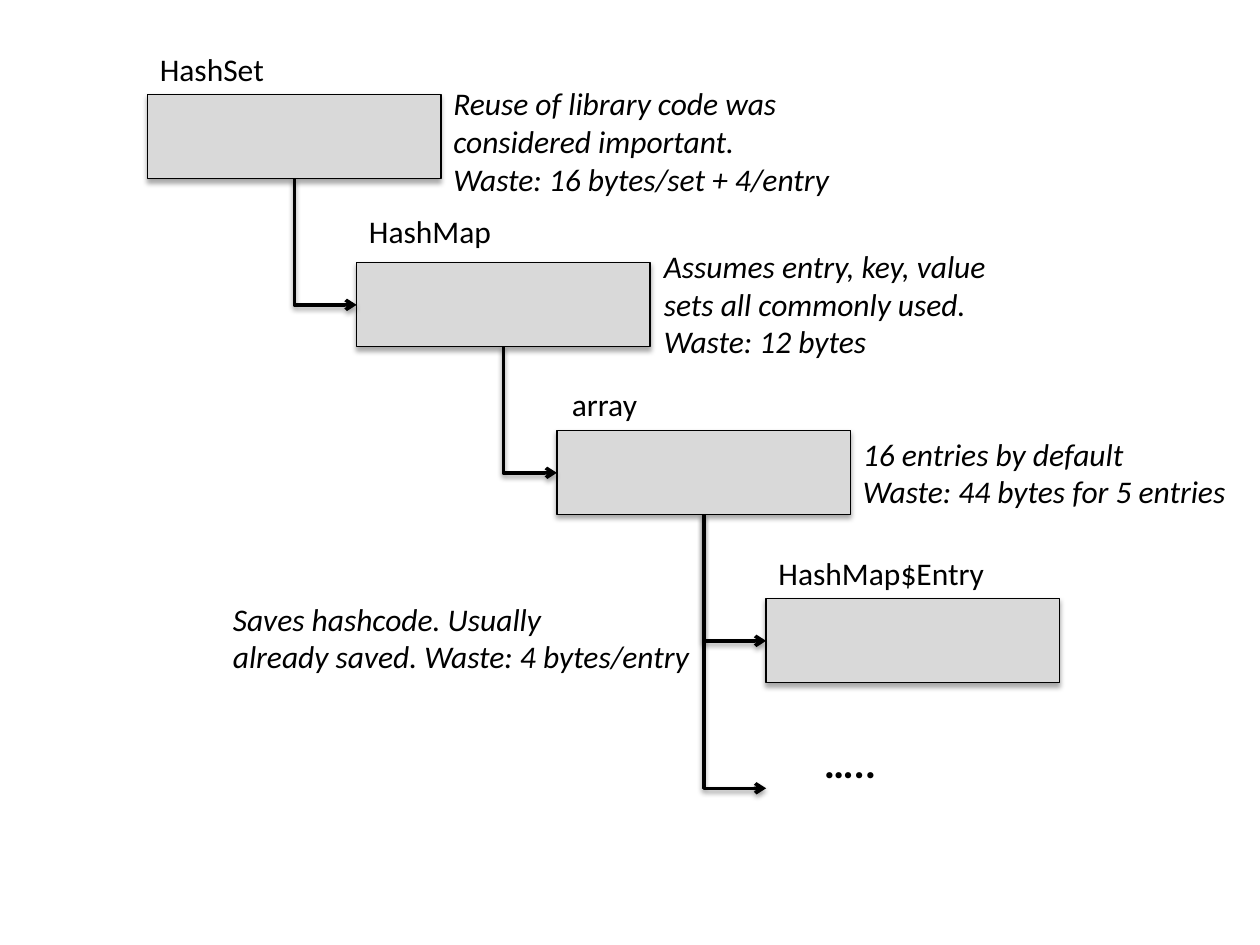
from dataclasses import dataclass
from lxml.etree import SubElement
from pptx import Presentation
from pptx.dml.color import RGBColor
from pptx.enum.shapes import MSO_CONNECTOR, MSO_SHAPE
from pptx.enum.text import MSO_AUTO_SIZE
from pptx.oxml.ns import qn
from pptx.util import Inches, Pt


@dataclass(frozen=True)
class Theme:
    font: str = "Calibri"
    ink: RGBColor = RGBColor(0, 0, 0)
    box: RGBColor = RGBColor(0xD9, 0xD9, 0xD9)
    body: int = 18
    dots: int = 24
    outline: float = 0.75
    arrow: float = 2


theme = Theme()
prs = Presentation()
prs.slide_width, prs.slide_height = Inches(10), Inches(7.5)
slide = prs.slides.add_slide(prs.slide_layouts[6])


def add_text(lines, left, top, width, height, size=theme.body,
             bold=False, italic=False, wrap=False):
    box = slide.shapes.add_textbox(
        Inches(left), Inches(top), Inches(width), Inches(height))
    frame = box.text_frame
    frame.word_wrap = wrap
    frame.auto_size = MSO_AUTO_SIZE.SHAPE_TO_FIT_TEXT
    frame.text = "\n".join(lines)
    for paragraph in frame.paragraphs:
        font = paragraph.runs[0].font
        font.name, font.size = theme.font, Pt(size)
        font.bold, font.italic = bold, italic
        font.color.rgb = theme.ink


def add_shadow(effects, distance, opacity):
    shadow = SubElement(effects, qn("a:outerShdw"), blurRad=str(Pt(3.1)),
                        dist=str(Pt(distance)), dir="5400000", rotWithShape="0")
    color = SubElement(shadow, qn("a:srgbClr"), val=str(theme.ink))
    SubElement(color, qn("a:alpha"), val=str(opacity * 1000))


# Each object: label, its left, top and width; box left; note lines, left and top
box_width, box_height = 2.33, 0.67
first_top, step = 0.75, 4 / 3
objects = [
    ("HashSet", 1.17, 0.35, 1.04, 1.17,
     ["Reuse of library code was", "considered important.",
      "Waste: 16 bytes/set + 4/entry"], 3.5, 0.62),
    ("HashMap", 2.83, 1.63, 1.18, 2.83,
     ["Assumes entry, key, value", "sets all commonly used.",
      "Waste: 12 bytes"], 5.17, 1.91),
    ("array", 4.44, 3.01, 0.72, 4.42,
     ["16 entries by default", "Waste: 44 bytes for 5 entries"], 6.75, 3.4),
    ("HashMap$Entry", 6.08, 4.35, 1.85, 6.08,
     ["Saves hashcode. Usually", "already saved. Waste: 4 bytes/entry"], 1.75, 4.71),
]

# Boxes with their labels and notes
for row, (label, label_left, label_top, label_width, left,
          note, note_left, note_top) in enumerate(objects):
    box = slide.shapes.add_shape(
        MSO_SHAPE.RECTANGLE, Inches(left), Inches(first_top + row * step),
        Inches(box_width), Inches(box_height))
    box.fill.solid()
    box.fill.fore_color.rgb = theme.box
    box.line.color.rgb = theme.ink
    box.line.width = Pt(theme.outline)
    box.shadow.inherit = False
    add_shadow(box.element.spPr.find(qn("a:effectLst")), 1.8, 35)
    add_text([label], label_left, label_top, label_width, 0.4)
    add_text(note, note_left, note_top, 5, 0.31 + 0.3 * len(note) - 0.2 + 0.0,
             italic=True, wrap=True)

# References: from the bottom centre of a box to the left side of the next one
lefts = [entry[4] for entry in objects]
references = [(row, lefts[row + 1], 1) for row in range(3)]
references.append((2, lefts[3], 2.17))  # the further entries
for row, end_x, drop in references:
    start_x = lefts[row] + box_width / 2
    start_y = first_top + row * step + box_height
    run = end_x - start_x
    mid_x, mid_y = start_x + run / 2, start_y + drop / 2
    # The elbow is laid out flat and mirrored, then turned to go down first
    reference = slide.shapes.add_connector(
        MSO_CONNECTOR.ELBOW,
        Inches(mid_x + drop / 2), Inches(mid_y - run / 2),
        Inches(mid_x - drop / 2), Inches(mid_y + run / 2))
    reference.line.color.rgb = theme.ink
    reference.line.width = Pt(theme.arrow)
    properties = reference.element.spPr
    properties.find(qn("a:xfrm")).set("rot", str(270 * 60000))
    properties.find(qn("a:prstGeom")).set("prst", "bentConnector2")
    SubElement(properties.find(qn("a:ln")), qn("a:tailEnd"), type="arrow")
    add_shadow(SubElement(properties, qn("a:effectLst")), 1.6, 38)

# More entries follow
add_text(["\u2026.."], 6.44, 5.8, 0.62, 0.5, size=theme.dots, bold=True)

prs.save("out.pptx")
